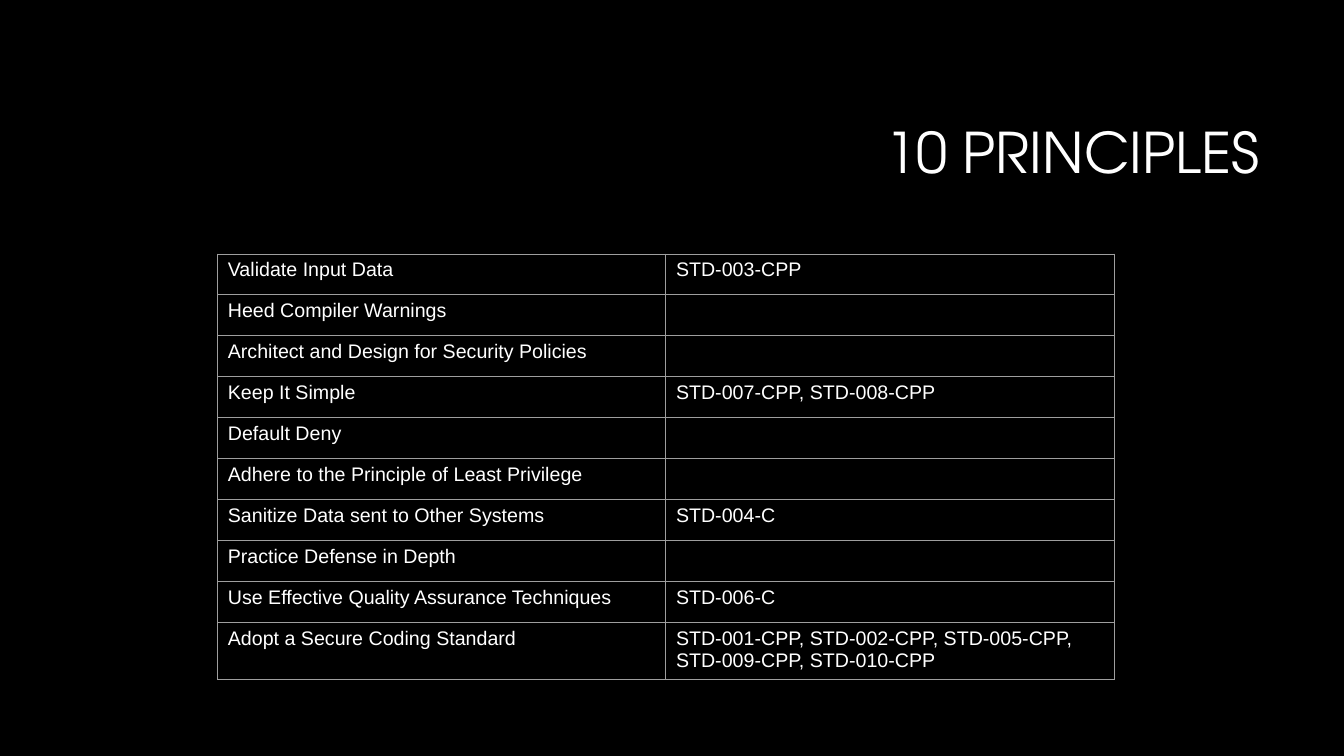
from pptx import Presentation
from pptx.util import Inches, Pt
from pptx.dml.color import RGBColor
from pptx.enum.text import PP_ALIGN, MSO_ANCHOR
from lxml.etree import SubElement
from pptx.oxml.ns import qn


def style(run, face, size, color):
    for key, val in {"name": face, "size": Pt(size)}.items():
        setattr(run.font, key, val)
    run.font.color.rgb = RGBColor.from_string(color)


def border(cell, color, width):
    props = cell._tc.get_or_add_tcPr()
    for side in ("a:lnL", "a:lnR", "a:lnT", "a:lnB"):
        line = SubElement(props, qn(side), w=str(Pt(width)))
        fill = SubElement(line, qn("a:solidFill"))
        SubElement(fill, qn("a:srgbClr"), val=color)


# Slide with black background
deck = Presentation()
deck.slide_width, deck.slide_height = Inches(13.33), Inches(7.5)
slide = deck.slides.add_slide(deck.slide_layouts[6])
back = slide.background.fill
back.solid()
back.fore_color.rgb = RGBColor.from_string("000000")

# Title
title = slide.shapes.add_textbox(Inches(3.17), Inches(0.84), Inches(9.42), Inches(1.41))
frame = title.text_frame
for key, val in {"word_wrap": True, "vertical_anchor": MSO_ANCHOR.MIDDLE}.items():
    setattr(frame, key, val)
para = frame.paragraphs[0]
for key, val in {"alignment": PP_ALIGN.RIGHT, "line_spacing": 0.9}.items():
    setattr(para, key, val)
run = para.add_run()
run.text = "10 PRINCIPLES"
style(run, "TeX Gyre Adventor", 40, "FFFFFF")

# Principles and the standards that serve them
rules = [
    ("Validate Input Data", "STD-003-CPP"),
    ("Heed Compiler Warnings", ""),
    ("Architect and Design for Security Policies", ""),
    ("Keep It Simple", "STD-007-CPP, STD-008-CPP"),
    ("Default Deny", ""),
    ("Adhere to the Principle of Least Privilege", ""),
    ("Sanitize Data sent to Other Systems", "STD-004-C"),
    ("Practice Defense in Depth", ""),
    ("Use Effective Quality Assurance Techniques", "STD-006-C"),
    ("Adopt a Secure Coding Standard",
     "STD-001-CPP, STD-002-CPP, STD-005-CPP, STD-009-CPP, STD-010-CPP"),
]

# Table
high = 0.406
table = slide.shapes.add_table(len(rules), 2, Inches(2.16), Inches(2.52),
                               Inches(8.89), Inches(high * len(rules))).table
for key in ("first_row", "horz_banding"):
    setattr(table, key, False)
for row, texts in enumerate(rules):
    table.rows[row].height = Inches(high)
    for col, text in enumerate(texts):
        cell = table.cell(row, col)
        border(cell, "9E9E9E", 0.75)
        cell.fill.background()
        if text:
            run = cell.text_frame.paragraphs[0].add_run()
            run.text = text
            style(run, "Arial", 14, "FFFFFF")

deck.save("out.pptx")
